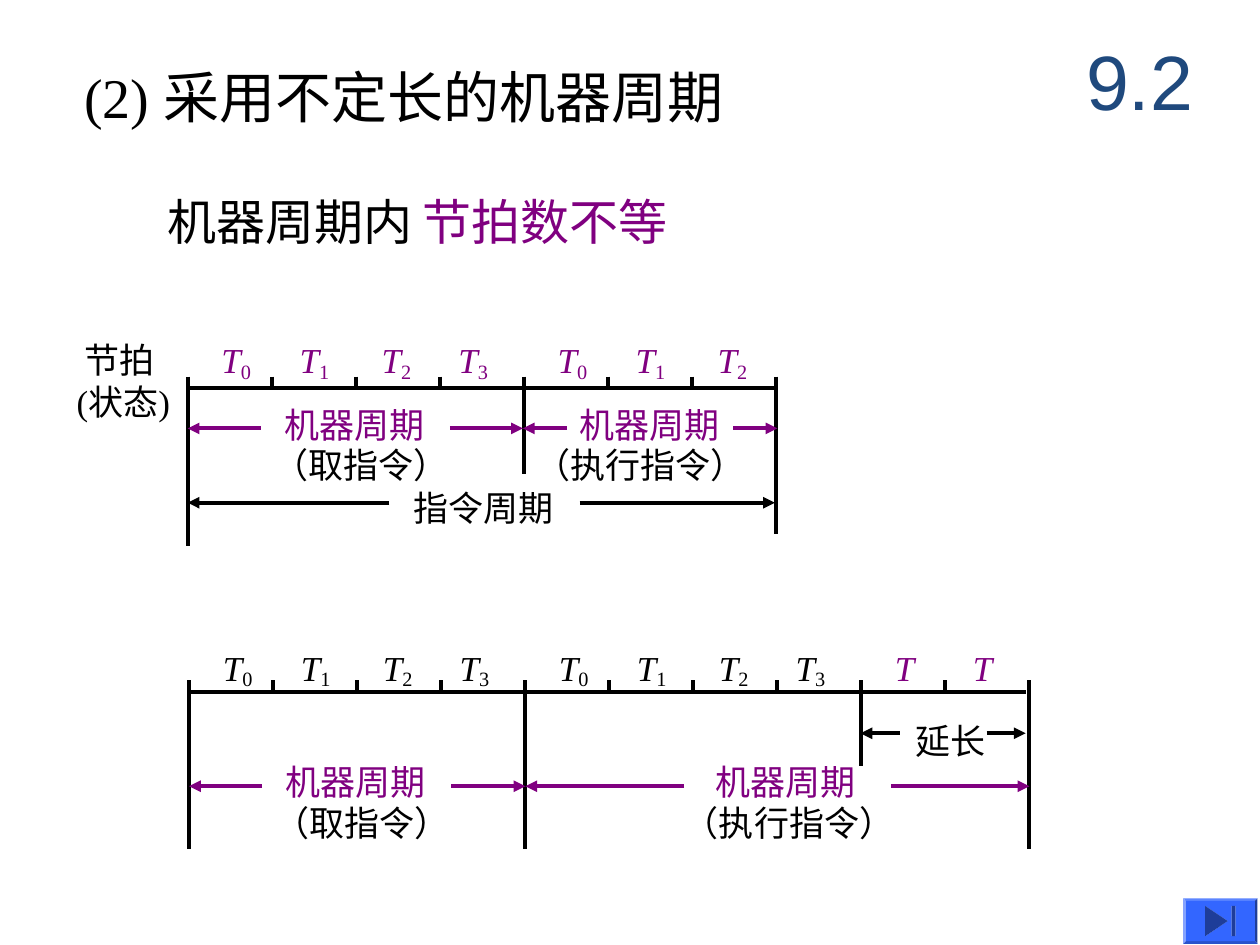
from pptx import Presentation
from pptx.dml.color import RGBColor
from pptx.enum.shapes import MSO_CONNECTOR, MSO_SHAPE
from pptx.enum.text import MSO_ANCHOR, MSO_AUTO_SIZE, PP_ALIGN
from pptx.oxml.ns import qn
from pptx.util import Inches, Pt
from lxml import etree

STRAIGHT = MSO_CONNECTOR.STRAIGHT
END_BUTTON = MSO_SHAPE.ACTION_BUTTON_END
MIDDLE = MSO_ANCHOR.MIDDLE
CENTER = PP_ALIGN.CENTER
GROW, FIXED = MSO_AUTO_SIZE.SHAPE_TO_FIT_TEXT, MSO_AUTO_SIZE.NONE

BLACK, PURPLE, NAVY, BLUE = "000000", "800080", "1F497D", "3366FF"
SERIF, SANS = "Times New Roman", "Arial"

# Content: headings as (left, top, width, height, size, runs)
HEADINGS = [
    (0.57, 0.45, 6.4, 0.64, 32, [("(2) 采用不定长的机器周期", BLACK)]),
    (1.23, 1.47, 5.51, 0.57, 28, [("机器周期内 ", BLACK), ("节拍数不等", PURPLE)]),
]
STATE_LABEL = [" 节拍", "(状态)"]

BEAT = 2 / 3                              # width of one beat
BEATS_PER_CYCLE = 4
BEAT_OFFSETS = [0.17, 0.79, 1.44, 2.05]   # beat labels within one cycle
TICK = 0.09                               # tick height above the axis

BUTTON = (9.39, 7.13, 9.98, 7.49)         # left, top, right, bottom
BEVEL = 0.02
BEVEL_COLORS = ["5C85FF", "1F3D99", "2952CC", "85A3FF"]  # top, right, bottom, left

# walls: beat number -> bottom of the long line
# arrows: (from x, to x, y, colour); labels: (left, top, width, text, colour)
TIMELINES = [
    {
        "left": 1.49, "top": 2.99, "label_top": 2.64, "axis_end": 6.15,
        "beats": [("0", PURPLE), ("1", PURPLE), ("2", PURPLE), ("3", PURPLE),
                  ("0", PURPLE), ("1", PURPLE), ("2", PURPLE)],
        "walls": {0: 4.33, 4: 3.76, 7: 4.24},
        "arrows": [
            (2.07, 1.49, 3.4, PURPLE), (3.57, 4.15, 3.4, PURPLE),
            (4.5, 4.15, 3.4, PURPLE), (5.82, 6.17, 3.4, PURPLE),
            (3.09, 1.49, 3.99, BLACK), (4.6, 6.15, 3.99, BLACK),
        ],
        "labels": [
            (2.16, 3.15, 1.31, "机器周期", PURPLE),
            (4.5, 3.15, 1.31, "机器周期", PURPLE),
            (2.07, 3.47, 1.59, "（取指令）", BLACK),
            (4.15, 3.47, 1.87, "（执行指令）", BLACK),
            (3.18, 3.81, 1.31, "指令周期", BLACK),
        ],
    },
    {
        "left": 1.5, "top": 5.4, "label_top": 5.08, "axis_end": 8.14,
        "beats": [("0", BLACK), ("1", BLACK), ("2", BLACK), ("3", BLACK),
                  ("0", BLACK), ("1", BLACK), ("2", BLACK), ("3", BLACK),
                  ("", PURPLE), ("", PURPLE)],
        "walls": {0: 6.74, 4: 6.74, 8: 6.08, 10: 6.74},
        "arrows": [
            (2.08, 1.5, 6.24, PURPLE), (3.58, 4.17, 6.24, PURPLE),
            (5.43, 4.17, 6.24, PURPLE), (7.07, 8.17, 6.24, PURPLE),
            (7.14, 6.83, 5.82, BLACK), (7.83, 8.14, 5.82, BLACK),
        ],
        "labels": [
            (2.17, 5.99, 1.31, "机器周期", PURPLE),
            (5.58, 5.99, 1.31, "机器周期", PURPLE),
            (2.08, 6.31, 1.59, "（取指令）", BLACK),
            (5.33, 6.31, 1.87, "（执行指令）", BLACK),
            (7.17, 5.66, 0.75, "延长", BLACK),
        ],
    },
]


def rgb(value):
    return RGBColor.from_string(value)


def add_run(p, text, color, size=20, font=SERIF):
    r = p.add_run()
    r.text = text
    r.font.size = Pt(size)
    r.font.name = font
    r.font.color.rgb = rgb(color)
    return r


def add_box(shapes, x, y, w, h, wrap=False):
    tf = shapes.add_textbox(Inches(x), Inches(y), Inches(w), Inches(h)).text_frame
    tf.word_wrap = wrap
    tf.auto_size = GROW
    if not wrap:
        tf.margin_right = 0  # room for labels as wide as their box
    return tf


def add_line(shapes, x1, y1, x2, y2, color=BLACK, arrow=False):
    line = shapes.add_connector(STRAIGHT, Inches(x1), Inches(y1), Inches(x2), Inches(y2))
    line.line.color.rgb = rgb(color)
    line.line.width = Pt(2.25)
    if arrow:
        etree.SubElement(line.line._get_or_add_ln(), qn("a:tailEnd"), type="triangle")
    etree.SubElement(line._element.spPr, qn("a:effectLst"))


def paint(sp, color):
    sp.shadow.inherit = False
    sp.fill.solid()
    sp.fill.fore_color.rgb = rgb(color)
    sp.line.fill.background()


def corners(left, top, right, bottom):
    return [(Inches(x), Inches(y)) for x, y in
            [(left, top), (right, top), (right, bottom), (left, bottom)]]


def add_button(shapes):
    left, top, right, bottom = BUTTON
    inner_box = (left + BEVEL, top + BEVEL, right - BEVEL, bottom - BEVEL)
    outer, inner = corners(*BUTTON), corners(*inner_box)
    for i, color in enumerate(BEVEL_COLORS):
        j = (i + 1) % 4
        edge = shapes.build_freeform(*outer[i])
        edge.add_line_segments([outer[j], inner[j], inner[i]])
        paint(edge.convert_to_shape(), color)
    (x1, y1), (x2, y2) = inner[0], inner[2]
    paint(shapes.add_shape(END_BUTTON, x1, y1, x2 - x1, y2 - y1), BLUE)


def add_timeline(slide, t):
    shapes = slide.shapes.add_group_shape().shapes
    left, top = t["left"], t["top"]
    axis = top + TICK

    # Axis, ticks and long boundaries
    add_line(shapes, left, axis, t["axis_end"], axis)
    for i in range(len(t["beats"]) + 1):
        x = left + i * BEAT
        add_line(shapes, x, top, x, t["walls"].get(i, axis))

    # Spans
    for x1, x2, y, color in t["arrows"]:
        add_line(shapes, x1, y, x2, y, color, arrow=True)
    for x, y, w, text, color in t["labels"]:
        add_run(add_box(shapes, x, y, w, 0.44).paragraphs[0], text, color)

    # Beat names
    for i, (index, color) in enumerate(t["beats"]):
        cycle, beat = divmod(i, BEATS_PER_CYCLE)
        x = left + cycle * BEATS_PER_CYCLE * BEAT + BEAT_OFFSETS[beat]
        p = add_box(shapes, x, t["label_top"], 0.43 if index else 0.35, 0.45).paragraphs[0]
        add_run(p, "T", color).font.italic = True
        if index:
            r = add_run(p, index, color)
            r.font._element.set("baseline", "-15000")


def main():
    prs = Presentation()
    prs.slide_width, prs.slide_height = Inches(10), Inches(7.5)
    s = prs.slides.add_slide(prs.slide_layouts[6])

    # Headings
    for x, y, w, h, size, runs in HEADINGS:
        p = add_box(s.shapes, x, y, w, h, wrap=True).paragraphs[0]
        for text, color in runs:
            add_run(p, text, color, size)

    # Section number
    tf = add_box(s.shapes, 8.42, 0.17, 1.25, 0.92, wrap=True)
    tf.auto_size = FIXED
    tf.vertical_anchor = MIDDLE
    tf.paragraphs[0].alignment = CENTER
    add_run(tf.paragraphs[0], "9.2", NAVY, 44, SANS)

    # Timing diagrams
    for timeline in TIMELINES:
        add_timeline(s, timeline)

    # State label beside the first diagram
    tf = add_box(s.shapes, 0.51, 2.64, 1.07, 0.77)
    for i, text in enumerate(STATE_LABEL):
        p = tf.add_paragraph() if i else tf.paragraphs[0]
        add_run(p, text, BLACK)

    # Button in the corner
    add_button(s.shapes)

    prs.save("out.pptx")


if __name__ == "__main__":
    main()
